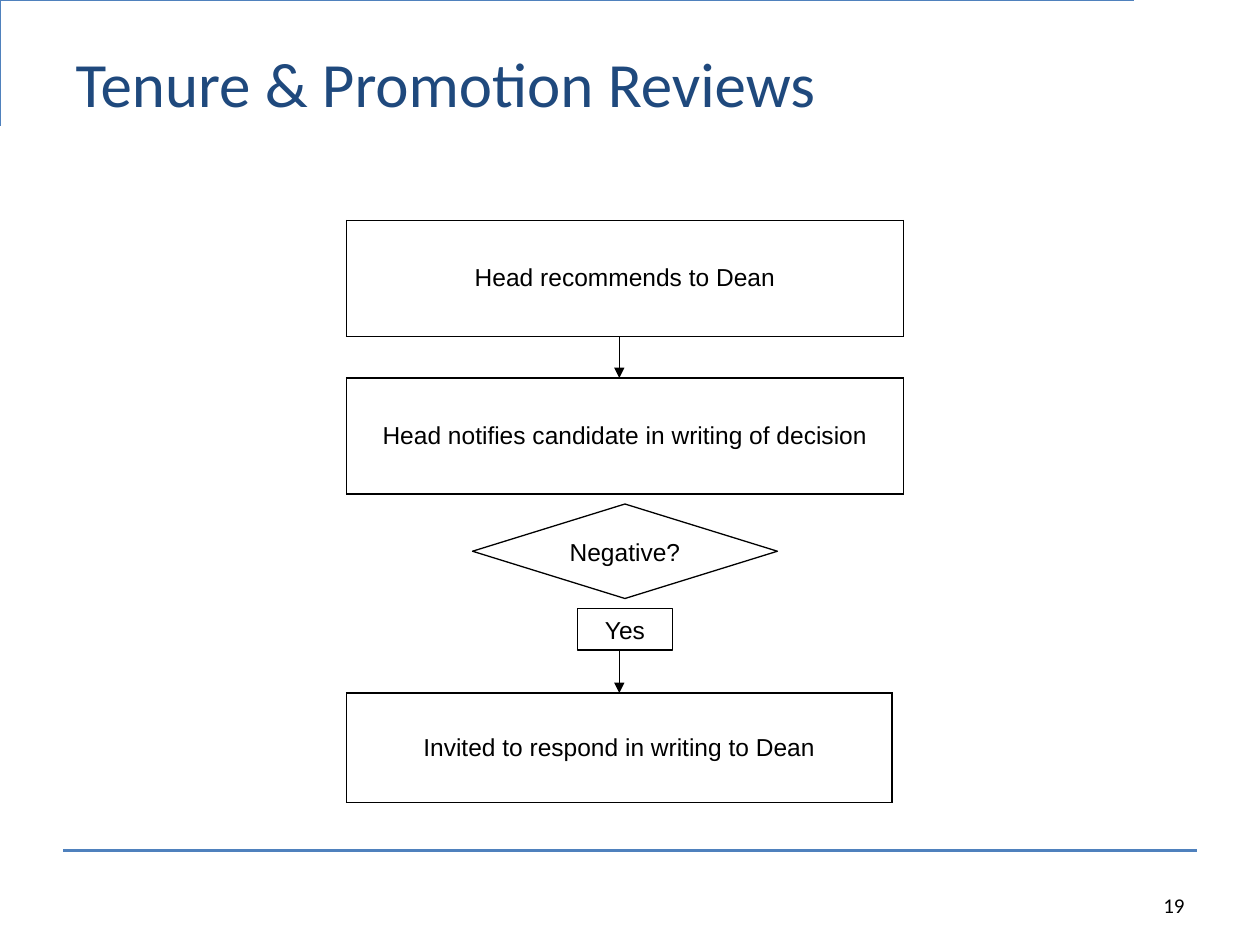
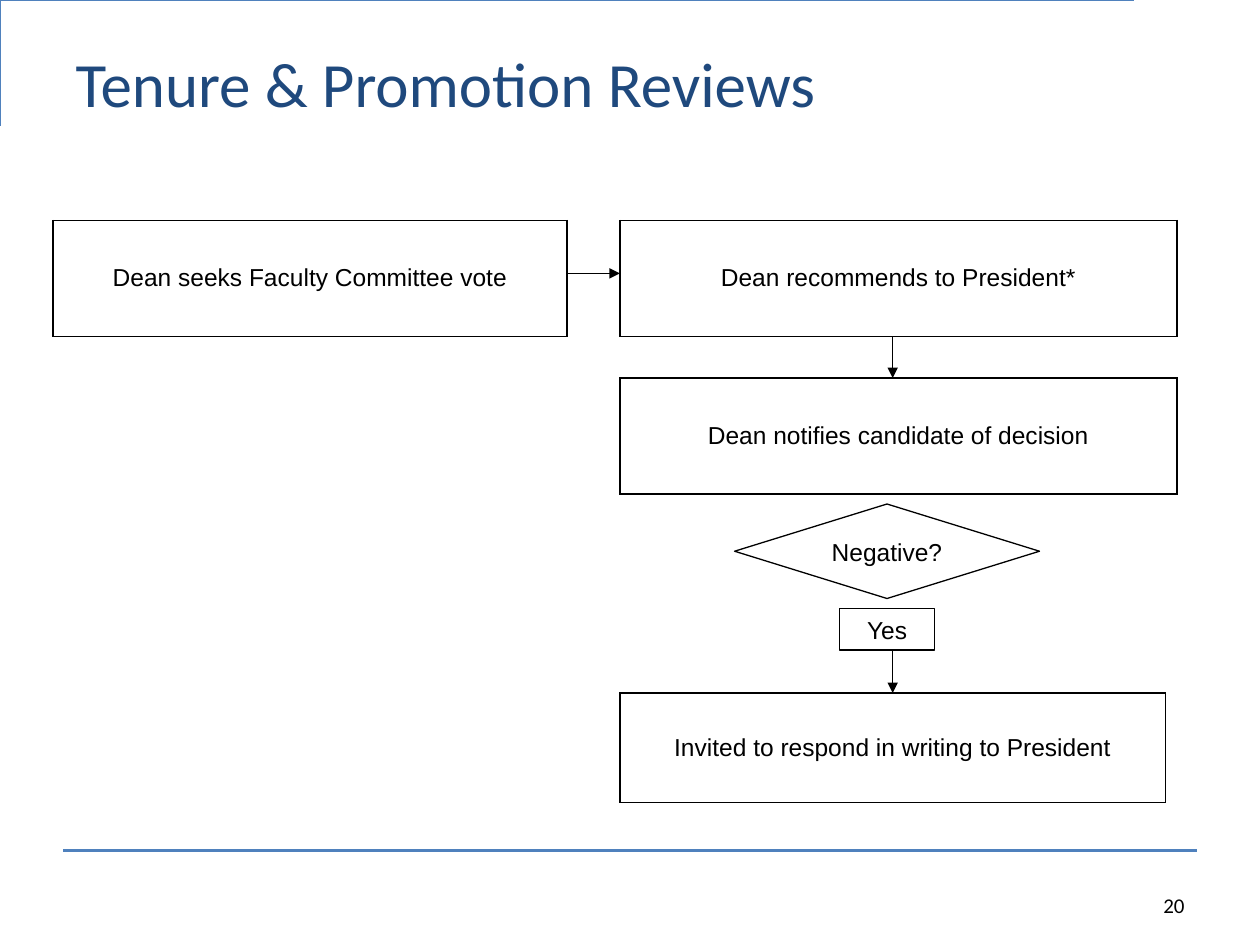
from pptx import Presentation
from pptx.dml.color import RGBColor
from pptx.enum.shapes import MSO_CONNECTOR, MSO_SHAPE
from pptx.enum.text import MSO_ANCHOR as Anchor, PP_ALIGN as Align
from pptx.oxml import parse_xml
from pptx.oxml.ns import nsdecls
from pptx.util import Inches, Pt

TITLE = "Tenure & Promotion Reviews"
REVIEWS = [
    {
        "page": "19",
        "left": 2.75,
        "decision_center": 4.96,
        "steps": ["Head recommends to Dean",
                  "Head notifies candidate in writing of decision"],
        "response": "Invited to respond in writing to Dean",
    },
    {
        "page": "20",
        "left": 4.92,
        "decision_center": 7.04,
        "vote": "Dean seeks Faculty Committee vote",
        "steps": ["Dean recommends to President*",
                  "Dean notifies candidate of decision"],
        "response": "Invited to respond in writing to President",
    },
]
QUESTION, ANSWER = "Negative?", "Yes"

COLORS = {"rule": "4F81BD", "title": "1F497D", "ink": "000000", "paper": "FFFFFF"}
HEADING_FONT, FLOW_FONT = "Calibri", "Arial"
MARGIN = 0.42
STEP_TOP, STEP_PITCH, STEP_WIDTH, STEP_HEIGHT = 1.75, 1.25, 4.42, 0.92
QUESTION_TOP, QUESTION_WIDTH, QUESTION_HEIGHT = 4, 2.42, 0.75
ANSWER_TOP, ANSWER_WIDTH, ANSWER_HEIGHT = 4.83, 0.75, 0.33
RESPONSE_TOP, RESPONSE_WIDTH, RESPONSE_HEIGHT = 5.5, 4.33, 0.87


def color(name):
    return RGBColor.from_string(COLORS[name])


def write(frame, text, size, font, ink="ink", align=Align.CENTER):
    frame.text = text
    paragraph = frame.paragraphs[0]
    paragraph.alignment = align
    paragraph.font.size = Pt(size)
    paragraph.font.name = font
    paragraph.font.color.rgb = color(ink)


def add_line(slide, start, end, ink="ink", width=0.75, arrow=True):
    line = slide.shapes.add_connector(
        MSO_CONNECTOR.STRAIGHT, *(Inches(v) for v in (*start, *end)))
    line.line.color.rgb = color(ink)
    line.line.width = Pt(width)
    properties = line._element.spPr
    if arrow:
        line.line._get_or_add_ln().append(
            parse_xml(f'<a:tailEnd {nsdecls("a")} type="triangle"/>'))
    properties.append(parse_xml(f'<a:effectLst {nsdecls("a")}/>'))


def add_step(slide, text, left, top, width=STEP_WIDTH, height=STEP_HEIGHT):
    table = slide.shapes.add_table(
        1, 1, Inches(left), Inches(top), Inches(width), Inches(height)).table
    table.first_row = table.horz_banding = False
    cell = table.cell(0, 0)
    cell.vertical_anchor = Anchor.MIDDLE
    write(cell.text_frame, text, 14, FLOW_FONT)
    borders = cell._tc.get_or_add_tcPr()
    for side in "LRTB":
        borders.append(parse_xml(
            f'<a:ln{side} {nsdecls("a")} w="{Pt(1)}"><a:solidFill>'
            f'<a:srgbClr val="{COLORS["ink"]}"/></a:solidFill></a:ln{side}>'))
    cell.fill.background()


def add_node(slide, kind, text, center, top, width, height):
    node = slide.shapes.add_shape(
        kind, Inches(center - width / 2), Inches(top), Inches(width), Inches(height))
    node.shadow.inherit = False
    node.fill.solid()
    node.fill.fore_color.rgb = color("paper")
    node.line.color.rgb = color("ink")
    node.line.width = Pt(0.75)
    node.text_frame.vertical_anchor = Anchor.MIDDLE
    write(node.text_frame, text, 14, FLOW_FONT)


def add_frame(slide, page):
    outline = slide.shapes.build_freeform(MARGIN, 0.92, scale=Inches(1))
    outline.add_line_segments([(MARGIN, 0.25), (MARGIN + 9, 0.25)], close=False)
    corner = outline.convert_to_shape()
    corner.shadow.inherit = False
    corner.fill.background()
    corner.line.color.rgb = color("rule")
    corner.line.width = Pt(1.5)
    add_line(slide, (0.5, 6.75), (9.5, 6.75), "rule", 1.5, arrow=False)

    title = slide.shapes.title
    title.left, title.top, title.width, title.height = map(Inches, (0.5, 0.3, 9, 1.25))
    title.text_frame.vertical_anchor = Anchor.TOP
    write(title.text_frame, TITLE, 36, HEADING_FONT, "title", Align.LEFT)

    number = slide.shapes.add_textbox(*map(Inches, (7.17, 6.83, 2.33, 0.5))).text_frame
    number.word_wrap = True
    number.vertical_anchor = Anchor.BOTTOM
    write(number, page, 12, HEADING_FONT, align=Align.RIGHT)


def add_review(slide, review):
    left, center = review["left"], review["decision_center"]
    flow_x = left + RESPONSE_WIDTH / 2
    for i, step in enumerate(review["steps"]):
        add_step(slide, step, left, STEP_TOP + i * STEP_PITCH)
    add_step(slide, review["response"], left, RESPONSE_TOP,
             RESPONSE_WIDTH, RESPONSE_HEIGHT)
    add_node(slide, MSO_SHAPE.DIAMOND, QUESTION, center,
             QUESTION_TOP, QUESTION_WIDTH, QUESTION_HEIGHT)
    add_node(slide, MSO_SHAPE.RECTANGLE, ANSWER, center,
             ANSWER_TOP, ANSWER_WIDTH, ANSWER_HEIGHT)
    add_line(slide, (flow_x, ANSWER_TOP + ANSWER_HEIGHT), (flow_x, RESPONSE_TOP))
    add_line(slide, (flow_x, STEP_TOP + STEP_HEIGHT), (flow_x, STEP_TOP + STEP_PITCH))
    if "vote" in review:
        vote_width = 4.08
        add_step(slide, review["vote"], MARGIN, STEP_TOP, vote_width)
        add_line(slide, (MARGIN + vote_width, 2.17), (left, 2.17))


def main():
    deck = Presentation()
    deck.slide_width, deck.slide_height = Inches(10), Inches(7.5)
    title_only = deck.slide_layouts[5]
    for review in REVIEWS:
        slide = deck.slides.add_slide(title_only)
        add_frame(slide, review["page"])
        add_review(slide, review)
    deck.save("out.pptx")


if __name__ == "__main__":
    main()
